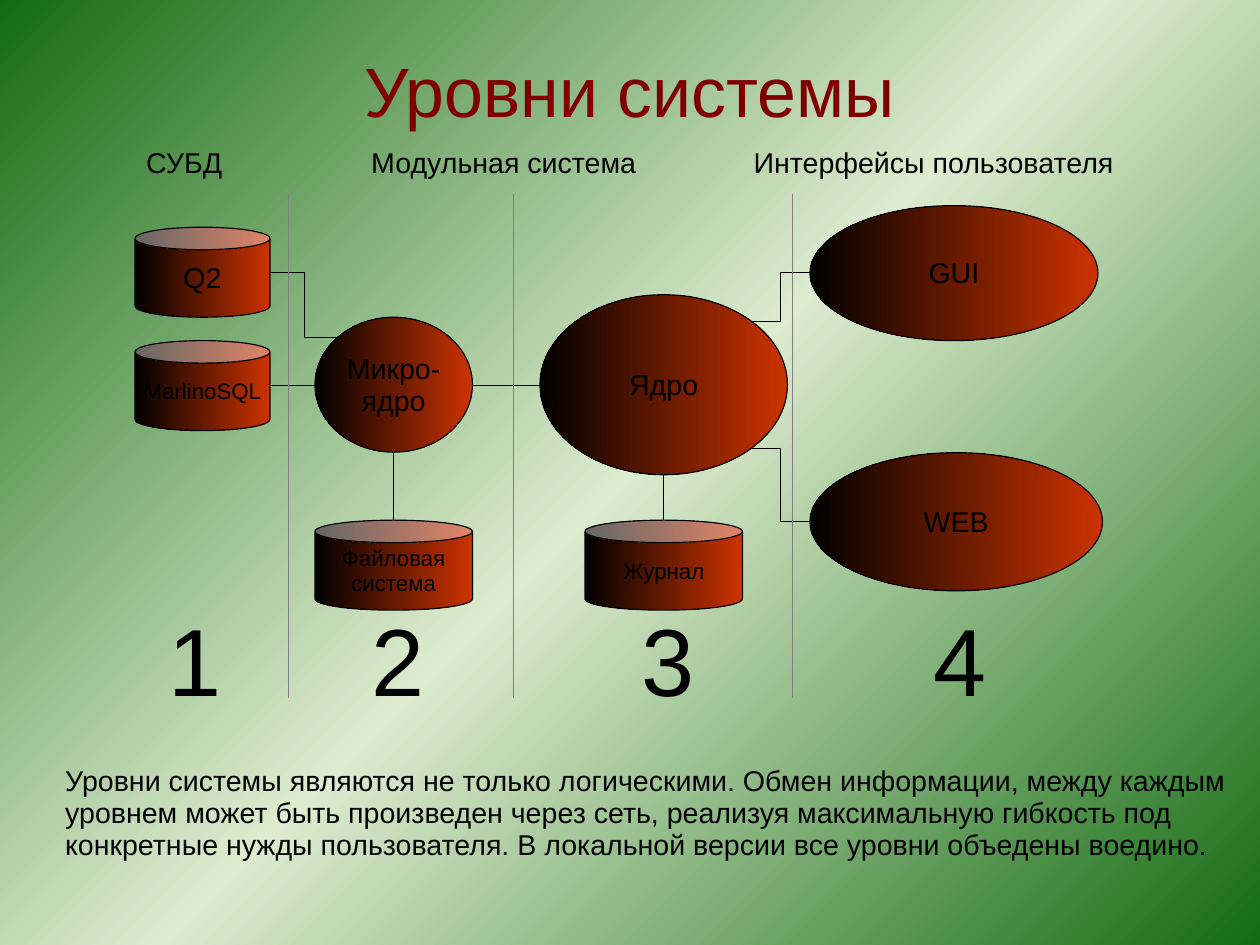
from copy import deepcopy

from pptx import Presentation
from pptx.dml.color import RGBColor
from pptx.enum.shapes import MSO_CONNECTOR, MSO_SHAPE
from pptx.enum.text import MSO_ANCHOR, PP_ALIGN
from pptx.oxml.ns import qn
from pptx.oxml.xmlchemy import OxmlElement
from pptx.util import Cm, Pt

BLACK = RGBColor(0x00, 0x00, 0x00)
RED = RGBColor(0xCC, 0x33, 0x00)
MAROON = RGBColor(0x80, 0x00, 0x00)
GREY = RGBColor(0x80, 0x80, 0x80)
GREEN = RGBColor(0x15, 0x6B, 0x13)
PALE = RGBColor(0xDD, 0xEB, 0xCF)

CAN, OVAL = MSO_SHAPE.CAN, MSO_SHAPE.OVAL

# kind, text, left, top, width, height, font size
NODES = [
    (CAN, "Q2", 3, 5.05, 3, 2, 18),
    (CAN, "MarlinoSQL", 3, 7.57, 3, 2, 14),
    (OVAL, "Микро-\nядро", 7, 7.05, 3.5, 3, 18),
    (OVAL, "Ядро", 12, 6.55, 5.5, 4, 18),
    (OVAL, "GUI", 18, 4.57, 6.4, 3, 18),
    (OVAL, "WEB", 18, 10.06, 6.5, 3.07, 18),
    (CAN, "Журнал", 13, 11.56, 3.5, 2, 14),
    (CAN, "Файловая\nсистема", 7, 11.56, 3.5, 2, 14),
]
LINKS = [
    (6, 6.06, 7.52, 7.5),
    (6, 8.56, 7, 8.56),
    (10.5, 8.56, 12, 8.56),
    (16.7, 7.14, 18, 6.05),
    (16.7, 9.97, 18, 11.59),
    (14.75, 10.56, 14.75, 11.56),
    (8.75, 10.06, 8.75, 11.56),
]
HEADS = [
    ("СУБД", 3, 2.5),
    ("Модульная система", 8, 6.5),
    ("Интерфейсы пользователя", 16.5, 9.1),
]
LEVELS = [3.5, 8, 14, 20.5]
BORDERS = [6.4, 11.4, 17.6]
NOTE = (
    "Уровни системы являются не только логическими. "
    "Обмен информации, между каждым уровнем может быть произведен через сеть, "
    "реализуя максимальную гибкость под конкретные нужды пользователя. "
    "В локальной версии все уровни объедены воедино."
)


def write(frame, text, size=18, color=BLACK, align=PP_ALIGN.LEFT,
          anchor=MSO_ANCHOR.TOP, top=0.18, side=0.25, wrap=True):
    """Fill a text frame, one paragraph per line of text."""
    frame.word_wrap = wrap
    frame.vertical_anchor = anchor
    frame.margin_left = frame.margin_right = Cm(side)
    frame.margin_top, frame.margin_bottom = Cm(top), Cm(0.13)
    frame.text = text
    for para in frame.paragraphs:
        para.alignment = align
        para.line_spacing = 0.93
        font = para.runs[0].font
        font.name, font.size = "Arial", Pt(size)
        font.color.rgb = color


class Board:
    def __init__(self, deck):
        self.slide = deck.slides.add_slide(deck.slide_layouts[6])
        self.shapes = self.slide.shapes

    def paint(self):
        """Give the slide its diagonal three-stop background."""
        fill = self.slide.background.fill
        fill.gradient()
        fill.gradient_angle = 135
        last = list(self.slide.element.iter(qn("a:gs")))[-1]
        last.addnext(deepcopy(last))
        hues = [(0, GREEN), (0.5, PALE), (1, GREEN)]
        for stop, (pos, hue) in zip(fill.gradient_stops, hues):
            stop.position = pos
            stop.color.rgb = hue

    def node(self, kind, text, x, y, w, h, size):
        shape = self.shapes.add_shape(kind, Cm(x), Cm(y), Cm(w), Cm(h))
        shape.shadow.inherit = False
        shape.fill.gradient()
        shape.fill.gradient_angle = 180
        for stop, pos, hue in zip(shape.fill.gradient_stops, (0, 1), (RED, BLACK)):
            stop.position = pos
            stop.color.rgb = hue
        shape.line.color.rgb = BLACK
        shape.line.width = Pt(0.75)
        write(shape.text_frame, text, size=size, align=PP_ALIGN.CENTER,
              anchor=MSO_ANCHOR.MIDDLE, wrap=False)

    def line(self, x1, y1, x2, y2, kind=MSO_CONNECTOR.ELBOW, color=BLACK, width=0.75):
        line = self.shapes.add_connector(kind, Cm(x1), Cm(y1), Cm(x2), Cm(y2))
        line.line.color.rgb = color
        line.line.width = Pt(width)
        line._element.spPr.append(OxmlElement("a:effectLst"))

    def label(self, text, x, y, w, h, **style):
        box = self.shapes.add_textbox(Cm(x), Cm(y), Cm(w), Cm(h))
        write(box.text_frame, text, **style)


def main():
    deck = Presentation()
    deck.slide_width, deck.slide_height = Cm(28), Cm(21)
    board = Board(deck)
    board.paint()
    board.label("Уровни системы", 2, 0.69, 24, 2.84, size=44, color=MAROON,
                align=PP_ALIGN.CENTER, anchor=MSO_ANCHOR.MIDDLE, top=0.1, side=0)
    for node in NODES:
        board.node(*node)
    for link in LINKS:
        board.line(*link)
    for text, x, w in HEADS:
        board.label(text, x, 3.1, w, 0.97)
    for num, x in enumerate(LEVELS, 1):
        board.label(str(num), x, 13.3, 2.2, 2.2, size=60, top=0.28)
    board.label(NOTE, 1.2, 16.9, 26.8, 2.4, top=0.13)
    for x in BORDERS:
        board.line(x, 4.3, x, 15.5, kind=MSO_CONNECTOR.STRAIGHT, color=GREY, width=0.25)
    deck.save("out.pptx")


if __name__ == "__main__":
    main()
